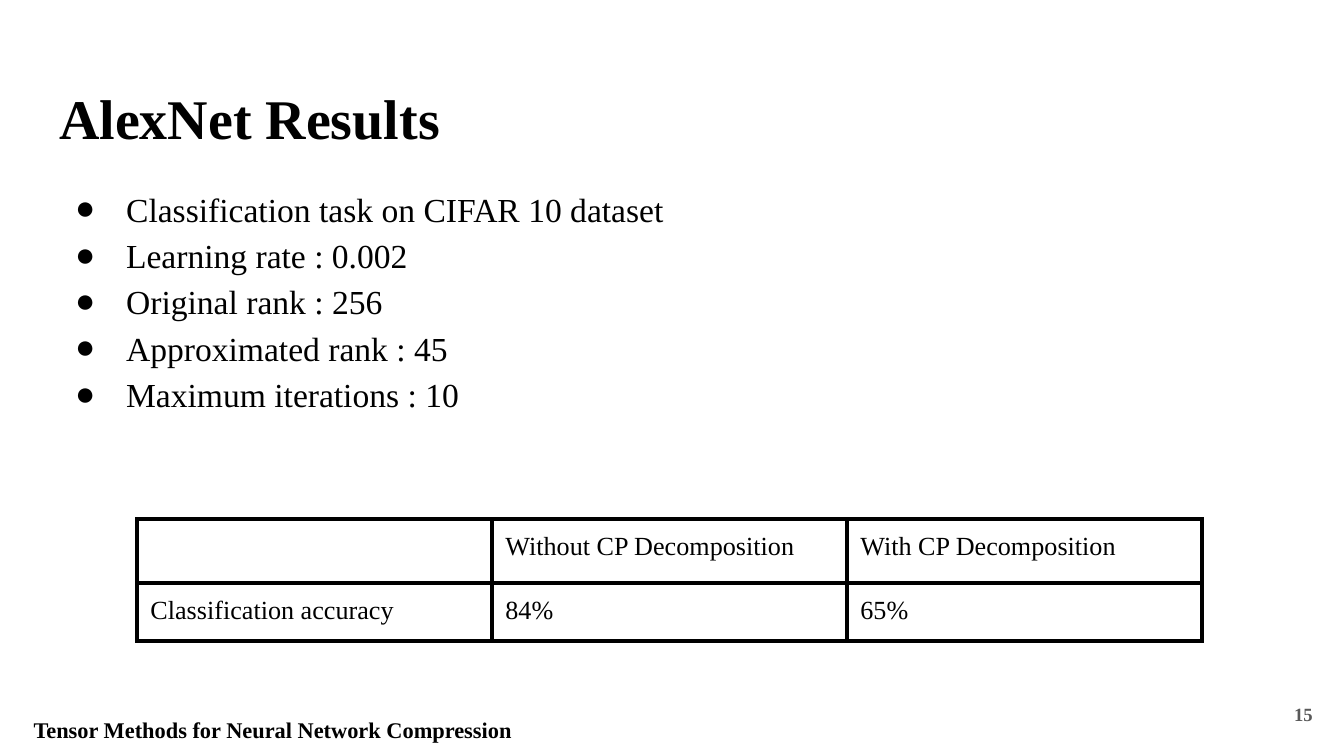
import dataclasses
import typing

import lxml.etree
import pptx
import pptx.dml.color
import pptx.enum.text
import pptx.oxml.ns
import pptx.util

EMU_PER_PIXEL = 914400 / 134.4
FONT = "Times New Roman"
COLOURS = {"ink": "000000", "page": "FFFFFF", "number": "595959"}
INSET = 13.44
ALIGN = pptx.enum.text.PP_ALIGN
ANCHOR = pptx.enum.text.MSO_ANCHOR


@dataclasses.dataclass
class TextBlock:
    bounds: tuple[int, int, int, int]
    lines: list[str]
    size: int
    colour: str = "ink"
    bold: bool = False
    align: typing.Any = ALIGN.LEFT
    anchor: typing.Any = ANCHOR.TOP
    top_inset: float = INSET
    bulleted: bool = False


BLOCKS = [
    TextBlock((46, 66, 1253, 85), ["AlexNet Results"], 30, bold=True, top_inset=18),
    TextBlock(
        (46, 169, 1246, 251),
        [
            "Classification task on CIFAR 10 dataset",
            "Learning rate : 0.002",
            "Original rank : 256",
            "Approximated rank : 45",
            "Maximum iterations : 10",
        ],
        18,
        bulleted=True,
    ),
    TextBlock((0, 713, 546, 43), ["Tensor Methods for Neural Network Compression"], 12,
              bold=True, align=ALIGN.CENTER, anchor=ANCHOR.BOTTOM),
    TextBlock((1246, 685, 80, 58), ["15"], 10, colour="number",
              bold=True, align=ALIGN.RIGHT, anchor=ANCHOR.MIDDLE),
]

ACCURACY_ROWS = [
    ["", "Without CP Decomposition", "With CP Decomposition"],
    ["Classification accuracy", "84%", "65%"],
]
TABLE_LEFT, TABLE_TOP = 137, 519
COLUMN_WIDTH = 355
ROW_HEIGHTS = [64, 56]


def px(pixels: float) -> pptx.util.Emu:
    return pptx.util.Emu(round(pixels * EMU_PER_PIXEL))


def set_values(target: typing.Any, values: dict[str, typing.Any]) -> None:
    for name, value in values.items():
        setattr(target, name, value)


def add_element(parent: typing.Any, tag: str, **attributes: str) -> typing.Any:
    return lxml.etree.SubElement(parent, pptx.oxml.ns.qn(tag), attributes)


def write_span(para: typing.Any, text: str, size: int, colour: str, bold: bool) -> None:
    span = para.add_run()
    span.text = text
    set_values(span.font, {"name": FONT, "size": pptx.util.Pt(size), "bold": bold})
    span.font.color.rgb = pptx.dml.color.RGBColor.from_string(COLOURS[colour])


def add_bullet(para: typing.Any) -> None:
    para.line_spacing = 1.15
    properties = para._p.get_or_add_pPr()
    properties.set("marL", str(px(67)))
    properties.set("indent", str(px(-51)))
    colour = add_element(properties, "a:buClr")
    add_element(colour, "a:srgbClr", val=COLOURS["ink"])
    add_element(properties, "a:buFont", typeface=FONT)
    add_element(properties, "a:buChar", char="●")


def add_text_block(page: typing.Any, block: TextBlock) -> None:
    box = page.shapes.add_textbox(*map(px, block.bounds))
    frame = box.text_frame
    set_values(frame, {
        "word_wrap": True,
        "vertical_anchor": block.anchor,
        "margin_left": px(INSET),
        "margin_right": px(INSET),
        "margin_top": px(block.top_inset),
        "margin_bottom": px(INSET),
    })
    for index, line in enumerate(block.lines):
        para = frame.add_paragraph() if index else frame.paragraphs[0]
        para.alignment = block.align
        if block.bulleted:
            add_bullet(para)
        write_span(para, line, block.size, block.colour, block.bold)


def add_borders(cell: typing.Any) -> None:
    properties = cell._tc.get_or_add_tcPr()
    for side in ("a:lnL", "a:lnR", "a:lnT", "a:lnB"):
        line = add_element(properties, side, w=str(pptx.util.Pt(2.25)))
        fill = add_element(line, "a:solidFill")
        add_element(fill, "a:srgbClr", val=COLOURS["ink"])


def add_accuracy_table(page: typing.Any) -> None:
    columns = len(ACCURACY_ROWS[0])
    table = page.shapes.add_table(
        len(ACCURACY_ROWS), columns, px(TABLE_LEFT), px(TABLE_TOP),
        px(columns * COLUMN_WIDTH), px(sum(ROW_HEIGHTS)),
    ).table
    set_values(table, {"first_row": False, "horz_banding": False})
    for column in table.columns:
        column.width = px(COLUMN_WIDTH)
    for row, height, texts in zip(table.rows, ROW_HEIGHTS, ACCURACY_ROWS):
        row.height = px(height)
        for cell, text in zip(row.cells, texts):
            set_values(cell, {f"margin_{side}": px(INSET)
                              for side in ("left", "right", "top", "bottom")})
            add_borders(cell)
            cell.fill.background()
            para = cell.text_frame.paragraphs[0]
            if text:
                write_span(para, text, 14, "ink", False)
            else:
                add_element(para._p, "a:endParaRPr", sz="1400")


# Page
deck = pptx.Presentation()
set_values(deck, {"slide_width": px(1344), "slide_height": px(756)})
page = deck.slides.add_slide(deck.slide_layouts[6])
background = page.background.fill
background.solid()
background.fore_color.rgb = pptx.dml.color.RGBColor.from_string(COLOURS["page"])

# Title, bullets, footer and page number
for block in BLOCKS:
    add_text_block(page, block)

# Accuracy table
add_accuracy_table(page)

deck.save("out.pptx")
